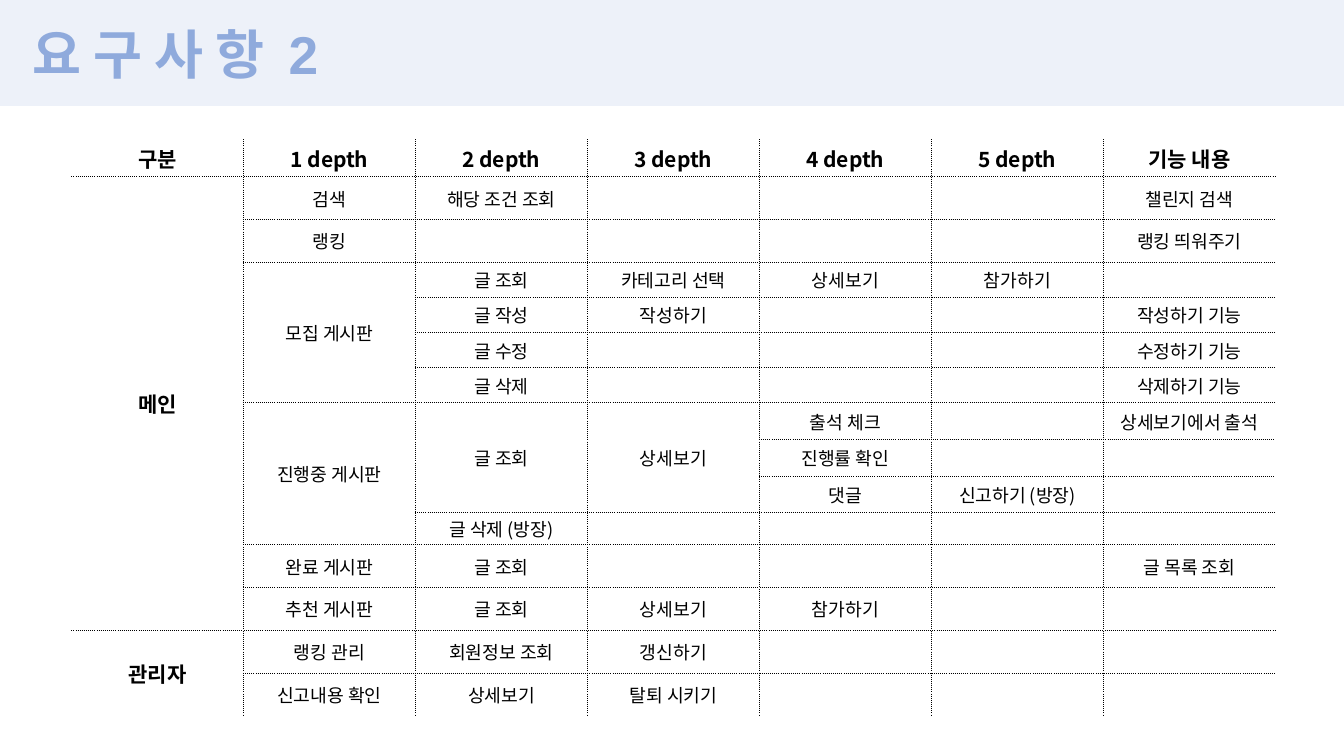
from lxml import etree
from pptx import Presentation
from pptx.dml.color import RGBColor
from pptx.enum import shapes, text
from pptx.oxml.ns import qn
from pptx.util import Pt

KOREAN = "Noto Sans CJK KR"
UP = "^"  # the cell belongs to the one above it
COL_WIDTH = 122.86
ROW_HEIGHTS = [26.8] + [30.6] * 2 + [25.1] * 4 + [26.2] * 3 + [22.9] + [30.6] * 4
REQUIREMENTS = [
    ["구분", "1 depth", "2 depth", "3 depth", "4 depth", "5 depth", "기능 내용"],
    ["메인", "검색", "해당 조건 조회", "", "", "", "챌린지 검색"],
    [UP, "랭킹", "", "", "", "", "랭킹 띄워주기"],
    [UP, "모집 게시판", "글 조회", "카테고리 선택", "상세보기", "참가하기", ""],
    [UP, UP, "글 작성", "작성하기", "", "", "작성하기 기능"],
    [UP, UP, "글 수정", "", "", "", "수정하기 기능"],
    [UP, UP, "글 삭제", "", "", "", "삭제하기 기능"],
    [UP, "진행중 게시판", "글 조회", "상세보기", "출석 체크", "", "상세보기에서 출석"],
    [UP, UP, UP, UP, "진행률 확인", "", ""],
    [UP, UP, UP, UP, "댓글", "신고하기 (방장)", ""],
    [UP, UP, "글 삭제 (방장)", "", "", "", ""],
    [UP, "완료 게시판", "글 조회", "", "", "", "글 목록 조회"],
    [UP, "추천 게시판", "글 조회", "상세보기", "참가하기", "", ""],
    ["관리자", "랭킹 관리", "회원정보 조회", "갱신하기", "", "", ""],
    [UP, "신고내용 확인", "상세보기", "탈퇴 시키기", "", "", ""],
]


def rgb(value):
    return RGBColor.from_string(value)


def add_run(p, words, size, color, bold, latin=KOREAN):
    r = p.add_run()
    r.text = words
    r.font.size = Pt(size)
    r.font.bold = bold
    r.font.name = latin
    r.font.color.rgb = rgb(color)
    etree.SubElement(r.font._element, qn("a:ea"), typeface=KOREAN)


def add_band(slide, width, height, color):
    """Place a full-width band behind everything else."""
    sp = slide.shapes.add_shape(shapes.MSO_SHAPE.RECTANGLE, 0, 0, width, height)
    sp.shadow.inherit = False
    sp.fill.solid()
    sp.fill.fore_color.rgb = rgb(color)
    sp.line.fill.background()
    slide.shapes._spTree.insert(2, sp._element)


def set_title(slide, words):
    sp = slide.shapes.title
    sp.left, sp.top, sp.width, sp.height = Pt(15.8), Pt(11.5), Pt(254.9), Pt(52.6)
    tf = sp.text_frame
    tf.word_wrap = False
    tf.auto_size = text.MSO_AUTO_SIZE.NONE
    tf.vertical_anchor = text.MSO_ANCHOR.MIDDLE
    p = tf.paragraphs[0]
    p.alignment = text.PP_ALIGN.LEFT
    add_run(p, words, 38, "8FAADC", True, "Arial")


def set_border(cell, side, visible):
    ln = etree.SubElement(cell._tc.get_or_add_tcPr(), qn("a:ln" + side), w=str(Pt(0.75)))
    if visible:
        fill = etree.SubElement(ln, qn("a:solidFill"))
        etree.SubElement(fill, qn("a:srgbClr"), val="000000")
        etree.SubElement(ln, qn("a:prstDash"), val="sysDot")
    else:
        etree.SubElement(ln, qn("a:noFill"))


def fill_cell(cell, words, bold):
    cell.margin_left = cell.margin_right = Pt(2.2)
    cell.margin_top = cell.margin_bottom = Pt(1.4)
    cell.vertical_anchor = text.MSO_ANCHOR.MIDDLE
    p = cell.text_frame.paragraphs[0]
    p.alignment = text.PP_ALIGN.CENTER
    if words in ("", UP):
        p._p.get_or_add_endParaRPr().set("sz", "1300")
    else:
        add_run(p, words, 15 if bold else 13, "000000", bold)


def span_end(rows, row, col):
    """Return the last row of the merged cell that covers this place."""
    while row + 1 < len(rows) and rows[row + 1][col] == UP:
        row += 1
    return row


def add_grid(slide, rows, left, top):
    n_rows, n_cols = len(rows), len(rows[0])
    table = slide.shapes.add_table(n_rows, n_cols, Pt(left), Pt(top), Pt(COL_WIDTH * n_cols),
                                   Pt(sum(ROW_HEIGHTS))).table
    table.first_row = table.horz_banding = False
    for column in table.columns:
        column.width = Pt(COL_WIDTH)
    for row, height in enumerate(ROW_HEIGHTS):
        table.rows[row].height = Pt(height)
        for col, words in enumerate(rows[row]):
            cell = table.cell(row, col)
            end = span_end(rows, row, col)
            fill_cell(cell, words, row == 0 or col == 0)
            set_border(cell, "L", col > 0)
            set_border(cell, "R", col < n_cols - 1)
            set_border(cell, "T", row > 0 and words != UP)
            set_border(cell, "B", end < n_rows - 1 and (words != UP or end == row))
            cell.fill.background()
            if words != UP and end > row:
                cell.merge(table.cell(end, col))


def main():
    prs = Presentation()
    prs.slide_width, prs.slide_height = Pt(960), Pt(540)
    slide = prs.slides.add_slide(prs.slide_layouts[5])
    add_band(slide, prs.slide_width, Pt(75.6), "EDF1F9")
    set_title(slide, "요 구 사 항  2")
    add_grid(slide, REQUIREMENTS, 51, 99.4)
    prs.save("out.pptx")


if __name__ == "__main__":
    main()
